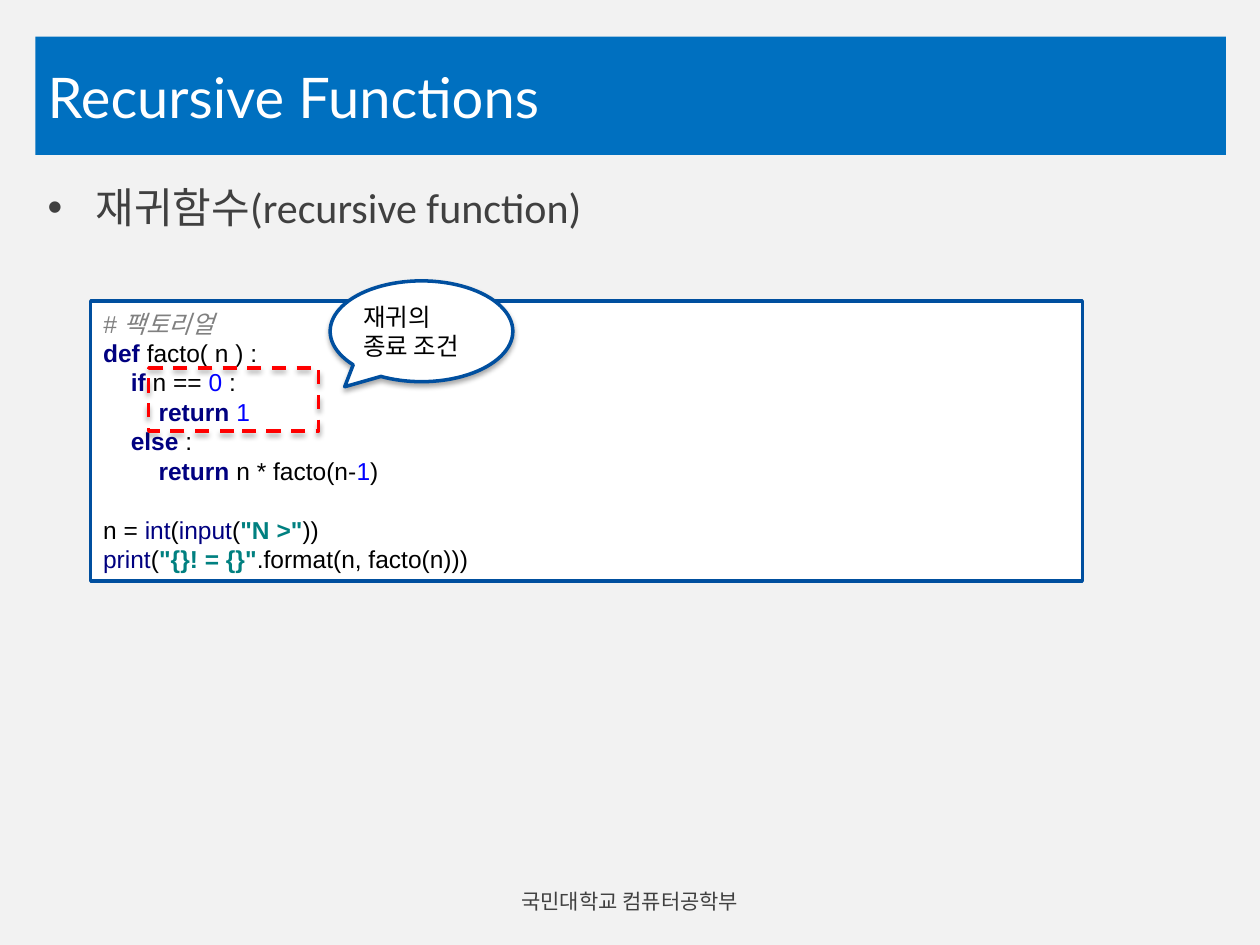
from lxml.etree import SubElement
from pptx import Presentation
from pptx.dml.color import RGBColor
from pptx.enum.dml import MSO_LINE
from pptx.enum.shapes import MSO_SHAPE as Shape
from pptx.enum.text import MSO_ANCHOR as Anchor, PP_ALIGN as Align
from pptx.oxml import parse_xml
from pptx.oxml.ns import nsdecls, qn
from pptx.util import Inches, Pt

COLORS = {
    "page": "F2F2F2", "banner": "0070C0", "white": "FFFFFF", "text": "404040",
    "border": "004F9F", "alert": "FF0000", "comment": "808080",
    "keyword": "000080", "plain": "000000", "number": "0000FF", "string": "008080",
}
KOREAN_FONT = "Noto Sans CJK KR"
CODE_INDENT = 0.22
CODE = [
    (0, [("# 팩토리얼", "comment")]),
    (0, [("def ", "keyword"), ("facto( n ) :", "plain")]),
    (1, [("if ", "keyword"), ("n == ", "plain"), ("0 ", "number"), (":", "plain")]),
    (2, [("return ", "keyword"), ("1", "number")]),
    (1, [("else ", "keyword"), (":", "plain")]),
    (2, [("return ", "keyword"), ("n * facto(n-", "plain"), ("1", "number"), (")", "plain")]),
    (0, [("n = ", "plain"), ("int", "builtin"), ("(", "plain"), ("input", "builtin"),
         ("(", "plain"), ('"N >"', "string"), ("))", "plain")]),
    (0, [("print", "builtin"), ("(", "plain"), ('"{}! = {}"', "string"),
         (".format(n, facto(n)))", "plain")]),
]
GAP_BEFORE = 6


def rgb(name):
    """Return the named colour."""
    return RGBColor.from_string(COLORS[name])


def style(span, size, font, color):
    """Set size, typefaces and colour of a run."""
    span.font.size = Pt(size)
    span.font.name = font
    span.font.color.rgb = rgb(color)
    SubElement(span.font._element, qn("a:ea")).set("typeface", KOREAN_FONT)


def add_box(page, kind, bounds, fill=None, line=None):
    """Add a preset shape with a plain fill and outline."""
    box = page.shapes.add_shape(kind, *map(Inches, bounds))
    box.shadow.inherit = False
    if fill:
        box.fill.solid()
        box.fill.fore_color.rgb = rgb(fill)
    else:
        box.fill.background()
    if line:
        box.line.color.rgb = rgb(line)
        box.line.width = Pt(2)
    else:
        box.line.fill.background()
    return box


def write_line(box, text, size, font, color, anchor=Anchor.MIDDLE, align=Align.LEFT):
    """Write one styled paragraph in a box and return it."""
    frame = box.text_frame
    frame.word_wrap = True
    frame.vertical_anchor = anchor
    para = frame.paragraphs[0]
    para.text = text
    para.alignment = align
    style(para.runs[0], size, font, color)
    return para


def add_shadow(box):
    """Give a box a soft shadow below it."""
    effects = box._element.spPr.find(qn("a:effectLst"))
    effects.append(parse_xml(
        f'<a:outerShdw {nsdecls("a")} blurRad="{Pt(3)}" dist="{Pt(1.8)}" dir="5400000" '
        'rotWithShape="0"><a:srgbClr val="000000"><a:alpha val="35000"/></a:srgbClr>'
        '</a:outerShdw>'))


def add_title(page, bounds, text):
    """Add the title banner."""
    banner = add_box(page, Shape.RECTANGLE, bounds, "banner")
    write_line(banner, text, 32, "Lato", "white")


def add_bullet(page, bounds, text):
    """Add the bulleted body text."""
    body = page.shapes.add_textbox(*map(Inches, bounds))
    para = write_line(body, text, 24, "Calibri", "text", Anchor.TOP)
    props = para._p.get_or_add_pPr()
    props.set("marL", str(Inches(0.38)))
    props.set("indent", str(-Inches(0.38)))
    SubElement(props, qn("a:buFont")).set("typeface", "Arial")
    SubElement(props, qn("a:buChar")).set("char", "•")


def add_footer(page, bounds, text):
    """Add the centred footer."""
    footer = page.shapes.add_textbox(*map(Inches, bounds))
    write_line(footer, text, 12, "Lato", "text", align=Align.CENTER)


def add_code(page, bounds):
    """Add the framed code listing with its syntax colours."""
    frame = add_box(page, Shape.RECTANGLE, bounds, "white", "border").text_frame
    frame.word_wrap = True
    frame.vertical_anchor = Anchor.MIDDLE
    for row, (level, parts) in enumerate(CODE):
        para = frame.add_paragraph() if row else frame.paragraphs[0]
        para.alignment = Align.LEFT
        para._p.get_or_add_pPr().set("marL", str(Inches(level * CODE_INDENT)))
        if row == GAP_BEFORE:
            para.space_before = Pt(16.8)
        for text, role in parts:
            span = para.add_run()
            span.text = text
            style(span, 14, "Arial", "keyword" if role == "builtin" else role)
            span.font.bold = role in ("keyword", "string")
            span.font.italic = role == "comment"


def add_highlight(page, bounds):
    """Add the dashed frame around the base case."""
    marker = add_box(page, Shape.RECTANGLE, bounds, line="alert")
    marker.line.dash_style = MSO_LINE.DASH
    add_shadow(marker)


def add_callout(page, bounds, text):
    """Add the speech bubble that explains the base case."""
    bubble = add_box(page, Shape.OVAL_CALLOUT, bounds, "white", "border")
    bubble.adjustments[0], bubble.adjustments[1] = -0.42, 0.55
    add_shadow(bubble)
    frame = bubble.text_frame
    frame.margin_left = frame.margin_right = Inches(0.05)
    frame.margin_top = frame.margin_bottom = Inches(0.05)
    write_line(bubble, text, 14, KOREAN_FONT, "plain")


def main():
    """Build the deck and save it."""
    deck = Presentation()
    deck.slide_width, deck.slide_height = Inches(10), Inches(7.5)
    page = deck.slides.add_slide(deck.slide_layouts[6])
    page.background.fill.solid()
    page.background.fill.fore_color.rgb = rgb("page")
    add_title(page, (0.28, 0.29, 9.45, 0.94), "Recursive Functions")
    add_bullet(page, (0.28, 1.39, 9.45, 5.28), "재귀함수(recursive function)")
    add_footer(page, (3.11, 6.95, 3.78, 0.4), "국민대학교 컴퓨터공학부")
    add_code(page, (0.72, 2.39, 7.87, 2.22))
    add_highlight(page, (1.18, 2.92, 1.35, 0.5))
    add_callout(page, (2.62, 2.23, 1.45, 0.8), "재귀의 종료 조건")
    deck.save("out.pptx")


if __name__ == "__main__":
    main()
